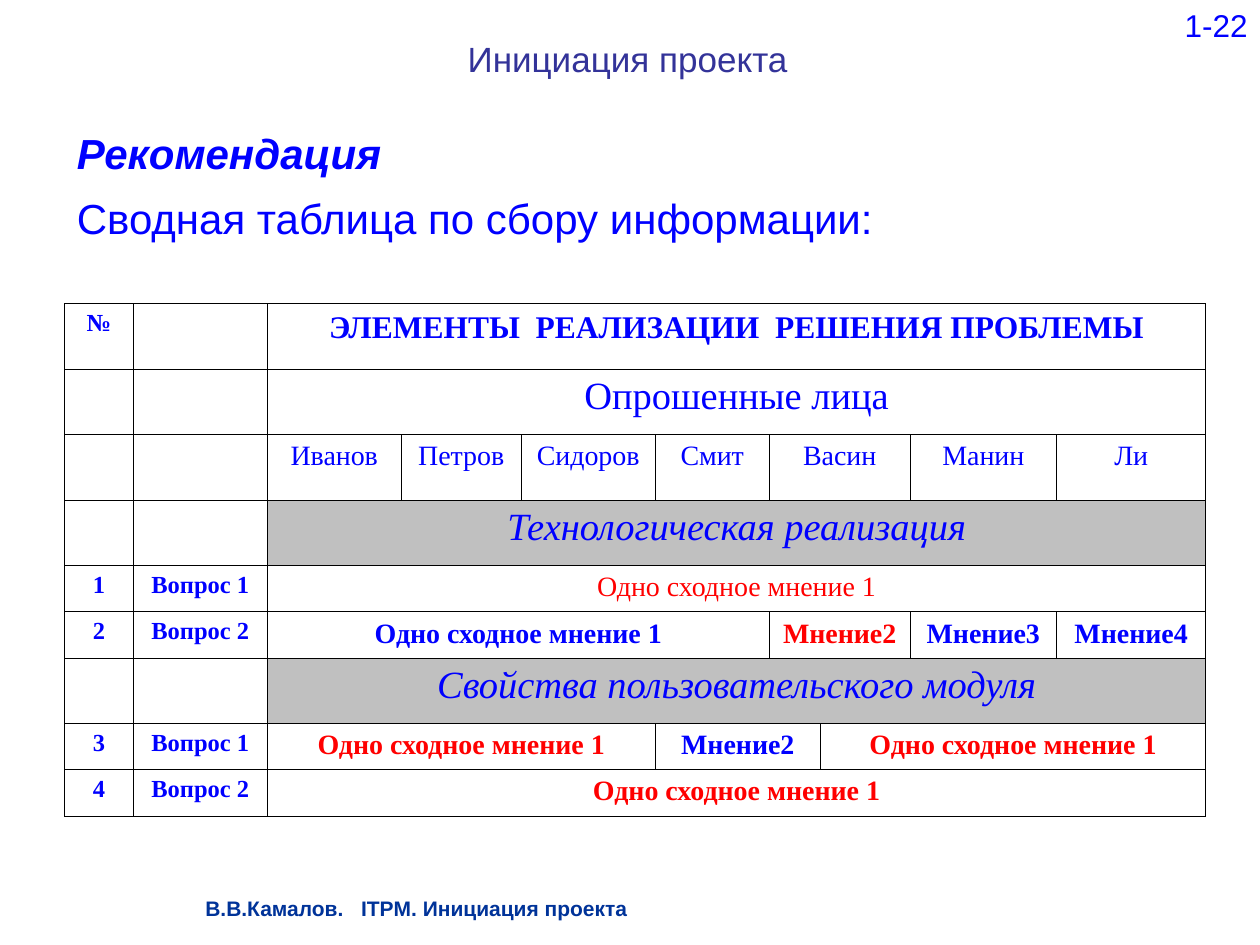
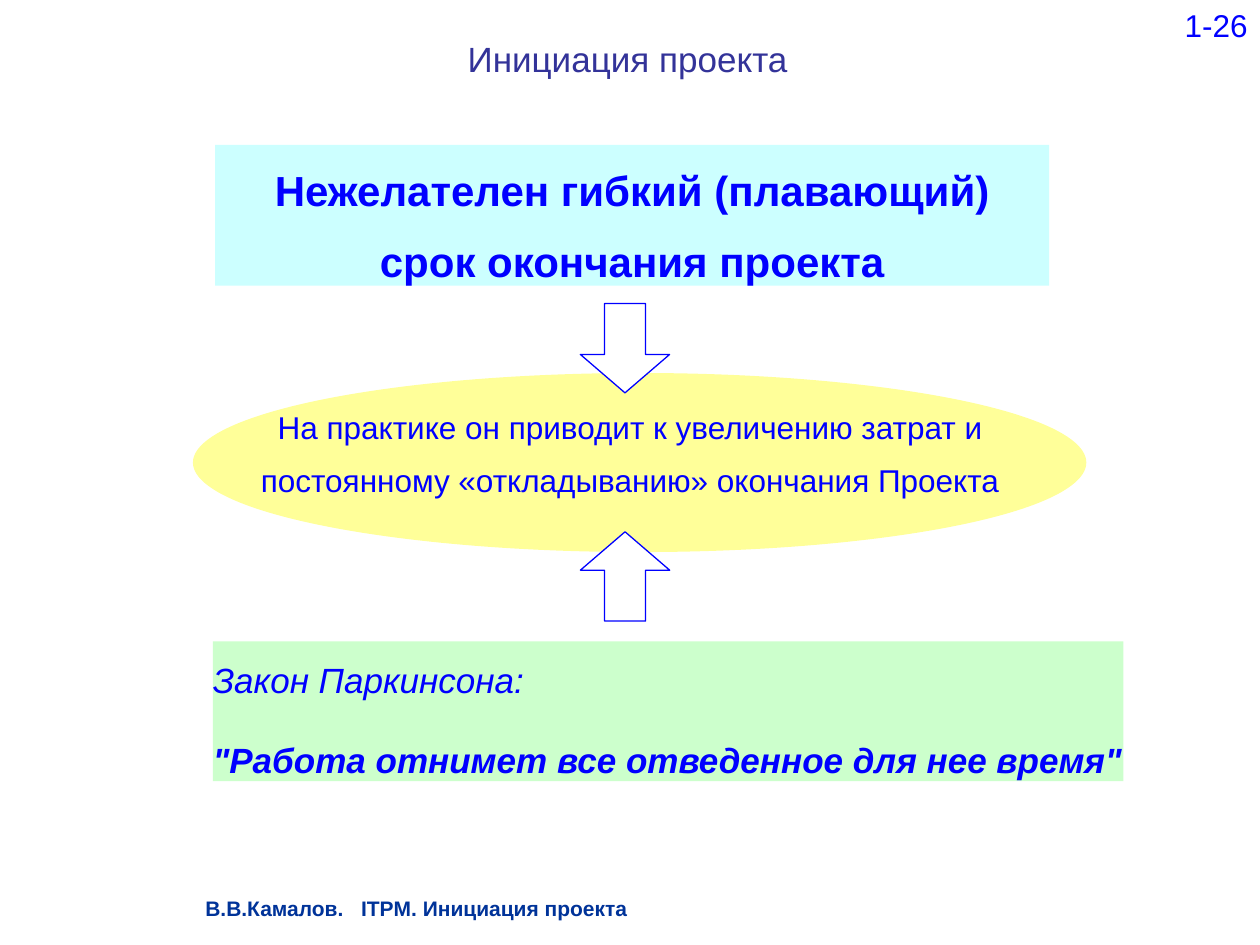
import pptx
import pptx.dml.color
import pptx.enum.shapes
import pptx.enum.text
import pptx.oxml
import pptx.oxml.ns
import pptx.util
from pptx.util import Cm

SHAPES = pptx.enum.shapes.MSO_SHAPE
ALIGN = pptx.enum.text.PP_ALIGN
ANCHOR = pptx.enum.text.MSO_ANCHOR
BLUE, RED, GREY, WHITE = "0000FF", "FF0000", "C0C0C0", "FFFFFF"
TITLE_BLUE, FOOTER_BLUE = "333399", "003399"
CYAN, YELLOW, GREEN = "CCFFFF", "FFFF99", "CCFFCC"
SANS, SERIF = "Arial", "Times New Roman"
TEXT_INSETS = (0.25, 0.13, 0.25, 0.13)
NO_INSETS = (0, 0, 0, 0)
NAMESPACE = pptx.oxml.ns.nsdecls("a")


def color(hex_string):
    return pptx.dml.color.RGBColor.from_string(hex_string)


def write(frame, *lines, size=18, font=SANS, fill=BLUE, bold=False, italic=False,
          align=ALIGN.LEFT, spacing=None, gap=0, tab=None):
    """Fill a text frame; a line is a string or (string, bold, italic)."""
    for index, line in enumerate(lines):
        text, is_bold, is_italic = (line, bold, italic) if isinstance(line, str) else line
        paragraph = frame.paragraphs[0] if index == 0 else frame.add_paragraph()
        paragraph.text = text
        paragraph.alignment = align
        if spacing:
            paragraph.line_spacing = spacing
        if index and gap:
            paragraph.space_before = pptx.util.Pt(gap)
        if tab:
            paragraph._p.get_or_add_pPr().append(pptx.oxml.parse_xml(
                f'<a:tabLst {NAMESPACE}><a:tab pos="{Cm(tab)}" algn="l"/></a:tabLst>'))
        for run in paragraph.runs:
            run.font.name = font
            run.font.size = pptx.util.Pt(size)
            run.font.bold = is_bold
            run.font.italic = is_italic
            run.font.color.rgb = color(fill)


def set_frame(frame, insets, anchor=ANCHOR.TOP, wrap=True):
    frame.margin_left, frame.margin_top, frame.margin_right, frame.margin_bottom = map(Cm, insets)
    frame.vertical_anchor = anchor
    frame.word_wrap = wrap
    return frame


def add_text(slide, box, *lines, insets=TEXT_INSETS, anchor=ANCHOR.TOP, **text_format):
    shape = slide.shapes.add_textbox(*map(Cm, box))
    write(set_frame(shape.text_frame, insets, anchor), *lines, **text_format)


def add_figure(slide, kind, box, fill, line=None):
    shape = slide.shapes.add_shape(kind, *map(Cm, box))
    shape.shadow.inherit = False
    shape.fill.solid()
    shape.fill.fore_color.rgb = color(fill)
    if line:
        shape.line.color.rgb = color(line)
        shape.line.width = pptx.util.Pt(0.75)
    else:
        shape.line.fill.background()
    return shape


def add_panel(slide, box, fill, *lines, wrap=True, **text_format):
    shape = add_figure(slide, SHAPES.RECTANGLE, box, fill)
    frame = set_frame(shape.text_frame, NO_INSETS, wrap=wrap)
    write(frame, *lines, spacing=1.4, **text_format)


def add_arrow(slide, box, rotation=0):
    arrow = add_figure(slide, SHAPES.DOWN_ARROW, box, WHITE, BLUE)
    arrow.adjustments[0] = 0.46
    arrow.adjustments[1] = 0.43
    arrow.rotation = rotation


def add_course_slide(presentation, number):
    """Blank slide with the footer, page number and title of the course."""
    slide = presentation.slides.add_slide(presentation.slide_layouts[6])
    add_text(slide, (3.89, 17.93, 14.81, 0.74), "В.В.Камалов.\tITPM. Инициация проекта",
             size=12, fill=FOOTER_BLUE, bold=True, tab=3.14)
    add_text(slide, (19.48, 0, 5.92, 1.32), number, align=ALIGN.RIGHT)
    add_text(slide, (8.92, 0.64, 7.47, 1.09), "Инициация проекта", size=20, fill=TITLE_BLUE,
             align=ALIGN.RIGHT, insets=(0.2, 0.13, 0.51, 0.13), anchor=ANCHOR.MIDDLE)
    return slide


# Survey table: each cell is (text, columns spanned, format)
COLUMN_WIDTHS = (1.39, 2.7, 2.7, 2.42, 2.7, 2.3, 1.03, 1.81, 2.95, 3.01)
TALL, LOW = 1.32, 0.93
EMPTY = [("", 1, {}), ("", 1, {})]
SIMILAR = "Одно сходное мнение 1"


def label(text):
    return (text, 1, {"size": 14, "bold": True})


def question(number, name):
    return [label(number), label(name)]


def opinion(text, span, fill=BLUE, bold=True):
    return (text, span, {"fill": fill, "bold": bold})


def section(text):
    return (TALL, EMPTY + [(text, 8, {"size": 22, "italic": True, "shade": GREY})])


RESPONDENTS = (("Иванов", 1), ("Петров", 1), ("Сидоров", 1), ("Смит", 1),
               ("Васин", 2), ("Манин", 1), ("Ли", 1))
SURVEY_ROWS = [
    (TALL, [label("№"), ("", 1, {}),
            ("ЭЛЕМЕНТЫ  РЕАЛИЗАЦИИ  РЕШЕНИЯ ПРОБЛЕМЫ", 8, {"size": 18, "bold": True})]),
    (TALL, EMPTY + [("Опрошенные лица", 8, {"size": 22})]),
    (TALL, EMPTY + [(name, span, {}) for name, span in RESPONDENTS]),
    section("Технологическая реализация"),
    (LOW, question("1", "Вопрос 1") + [opinion(SIMILAR, 8, RED, bold=False)]),
    (LOW, question("2", "Вопрос 2") + [opinion(SIMILAR, 4), opinion("Мнение2", 2, RED),
                                       opinion("Мнение3", 1), opinion("Мнение4", 1)]),
    section("Свойства пользовательского модуля"),
    (LOW, question("3", "Вопрос 1") + [opinion(SIMILAR, 3, RED), opinion("Мнение2", 2),
                                       opinion(SIMILAR, 3, RED)]),
    (LOW, question("4", "Вопрос 2") + [opinion(SIMILAR, 8, RED)]),
]


def style_cell(cell, shade=None):
    if shade:
        cell.fill.solid()
        cell.fill.fore_color.rgb = color(shade)
    else:
        cell.fill.background()
    properties = cell._tc.get_or_add_tcPr()
    for index, side in enumerate("LRTB"):
        properties.insert(index, pptx.oxml.parse_xml(
            f'<a:ln{side} {NAMESPACE} w="{pptx.util.Pt(0.45)}"><a:solidFill>'
            f'<a:srgbClr val="000000"/></a:solidFill></a:ln{side}>'))


def add_survey_table(slide, left, top):
    width, height = sum(COLUMN_WIDTHS), sum(row[0] for row in SURVEY_ROWS)
    table = slide.shapes.add_table(len(SURVEY_ROWS), len(COLUMN_WIDTHS),
                                   *map(Cm, (left, top, width, height))).table
    table.first_row = table.horz_banding = False
    for column, column_width in zip(table.columns, COLUMN_WIDTHS):
        column.width = Cm(column_width)
    for row_index, (row_height, entries) in enumerate(SURVEY_ROWS):
        table.rows[row_index].height = Cm(row_height)
        start = 0
        for text, span, entry_format in entries:
            text_format = {"size": 16, **entry_format}
            shade = text_format.pop("shade", None)
            for column_index in range(start, start + span):
                style_cell(table.cell(row_index, column_index), shade)
            cell = table.cell(row_index, start)
            if span > 1:
                cell.merge(table.cell(row_index, start + span - 1))
            if text:
                write(cell.text_frame, text, font=SERIF, align=ALIGN.CENTER, **text_format)
            start += span


def build_survey_slide(presentation):
    slide = add_course_slide(presentation, "1-22")
    add_text(slide, (1.3, 2.13, 17.6, 2.9), ("Рекомендация", True, True),
             "Сводная таблица по сбору информации:",
             size=24, spacing=1.3, anchor=ANCHOR.MIDDLE)
    add_survey_table(slide, 1.3, 6.12)


def build_deadline_slide(presentation):
    slide = add_course_slide(presentation, "1-26")
    # Consequence
    add_figure(slide, SHAPES.OVAL, (3.89, 7.52, 18.01, 3.61), YELLOW)
    add_text(slide, (4.5, 7.92, 16.41, 2.13),
             "На практике он приводит к увеличению затрат и "
             "постоянному «откладыванию» окончания Проекта",
             insets=NO_INSETS, anchor=ANCHOR.MIDDLE, align=ALIGN.CENTER, spacing=1.4)
    # Causes above and below
    add_panel(slide, (4.34, 2.92, 16.81, 2.84), CYAN,
              "Нежелателен гибкий (плавающий)\vсрок окончания проекта",
              size=24, bold=True, align=ALIGN.CENTER)
    add_panel(slide, (4.29, 12.93, 18.36, 2.82), GREEN, "Закон Паркинсона:",
              ("\"Работа отнимет все отведенное для нее время\"", True, True),
              wrap=False, size=20, italic=True, gap=12.5)
    # Arrows towards the consequence
    for top, rotation in ((6.12, 0), (10.72, 180)):
        add_arrow(slide, (11.7, top, 1.8, 1.8), rotation)


def main():
    presentation = pptx.Presentation()
    presentation.slide_width, presentation.slide_height = Cm(25.4), Cm(19.05)
    build_survey_slide(presentation)
    build_deadline_slide(presentation)
    presentation.save("out.pptx")


if __name__ == "__main__":
    main()
